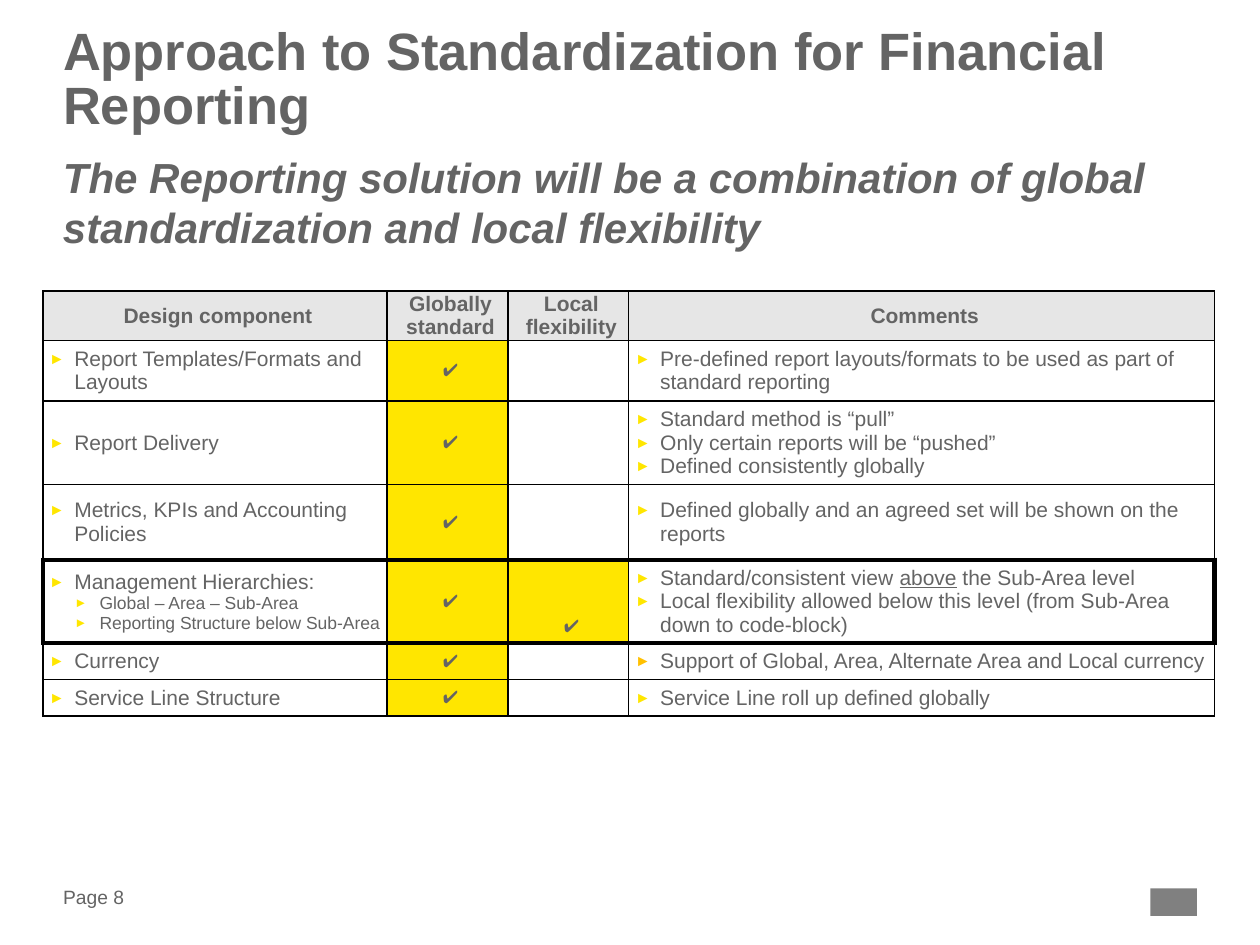
from lxml.etree import SubElement
from pptx import Presentation
from pptx.dml.color import RGBColor
from pptx.enum.shapes import MSO_SHAPE as Shape
from pptx.enum.text import MSO_ANCHOR as Anchor, MSO_AUTO_SIZE as AutoSize, PP_ALIGN as Align
from pptx.oxml.ns import qn
from pptx.util import Inches, Pt

GREY, YELLOW, AMBER, WHITE = "646464", "FFE600", "FFC000", "FFFFFF"
CHECK = "✔"


def color(value):
    return RGBColor.from_string(value)


def add_run(paragraph, text, size, bold=False, italic=False, underline=False):
    run = paragraph.add_run()
    run.text = text
    font = run.font
    font.name, font.size, font.color.rgb = "Arial", Pt(size), color(GREY)
    font.bold, font.italic, font.underline = bold, italic, underline


prs = Presentation()
prs.slide_width, prs.slide_height = Inches(10), Inches(7.5)
slide = prs.slides.add_slide(prs.slide_layouts[5])

# Title, subtitle and page number
title = slide.shapes.title
title.left, title.top, title.width, title.height = (Inches(n) for n in (0.5, 0.22, 9, 0.94))
subtitle = slide.shapes.add_textbox(Inches(0.5), Inches(1.2), Inches(9), Inches(0.58))
page = slide.shapes.add_textbox(Inches(0.5), Inches(7.01), Inches(0.79), Inches(0.22))
for box, text, size, bold, italic, anchor in (
    (title, "Approach to Standardization for Financial Reporting", 30, True, False, Anchor.TOP),
    (subtitle, "The Reporting solution will be a combination of global "
               "standardization and local flexibility", 24, True, True, Anchor.TOP),
    (page, "Page 8", 11, False, False, Anchor.MIDDLE),
):
    frame = box.text_frame
    frame.margin_left = frame.margin_right = frame.margin_top = frame.margin_bottom = 0
    frame.word_wrap, frame.auto_size, frame.vertical_anchor = True, AutoSize.NONE, anchor
    frame.paragraphs[0].alignment = Align.LEFT
    add_run(frame.paragraphs[0], text, size, bold, italic)
title.text_frame.paragraphs[0].line_spacing = 0.85

# Plain block in the bottom right corner
corner = slide.shapes.add_shape(Shape.RECTANGLE, Inches(9.13), Inches(7.05), Inches(0.37), Inches(0.22))
corner.shadow.inherit = False
corner.fill.solid()
corner.fill.fore_color.rgb = color("808080")
corner.line.fill.background()

# Each cell is a list of paragraphs: (level, [(text, underlined), ...])
headers = ["Design component", "Globally standard", "Local flexibility", "Comments"]
components = [
    (["Report Templates/Formats and Layouts"], "",
     ["Pre-defined report layouts/formats to be used as part of standard reporting"]),
    (["Report Delivery"], "",
     ["Standard method is “pull”", "Only certain reports will be “pushed”",
      "Defined consistently globally"]),
    (["Metrics, KPIs and Accounting Policies"], "",
     ["Defined globally and an agreed set will be shown on the reports"]),
    (["Management Hierarchies:", "Global – Area – Sub-Area",
      "Reporting Structure below Sub-Area"], CHECK,
     ["Standard/consistent view _above_ the Sub-Area level",
      "Local flexibility allowed below this level (from Sub-Area down to code-block)"]),
    (["Currency"], "", ["Support of Global, Area, Alternate Area and Local currency"]),
    (["Service Line Structure"], "", ["Service Line roll up defined globally"]),
]
rows = [[[text] for text in headers]]
rows += [[design, [CHECK], [local], comments] for design, local, comments in components]
widths = [2.73, 0.96, 0.96, 4.65]
heights = [0.39, 0.48, 0.66, 0.6, 0.66, 0.29, 0.29]
HIGHLIGHT, CURRENCY = 4, 5

# Table without the built-in style
table = slide.shapes.add_table(len(rows), len(widths), Inches(0.34), Inches(2.31),
                               Inches(sum(widths)), Inches(sum(heights))).table
table.first_row = table.horz_banding = False
for column, width in zip(table.columns, widths):
    column.width = Inches(width)
for row, height in zip(table.rows, heights):
    row.height = Inches(height)

for r, row in enumerate(rows):
    for c, lines in enumerate(row):
        cell = table.cell(r, c)
        header, centred = r == 0, r == 0 or c in (1, 2)
        cell.margin_left, cell.margin_right = Inches(0.05), 0
        cell.margin_top = cell.margin_bottom = Inches(0.01 if header else 0.05)
        cell.vertical_anchor = Anchor.BOTTOM if (r, c) == (HIGHLIGHT, 2) else Anchor.MIDDLE

        # Borders: thick around the highlighted row
        properties = cell._tc.get_or_add_tcPr()
        thick = {
            "lnL": r == HIGHLIGHT and c == 0,
            "lnR": r == HIGHLIGHT and c == len(widths) - 1,
            "lnT": r in (HIGHLIGHT, HIGHLIGHT + 1),
            "lnB": r in (HIGHLIGHT - 1, HIGHLIGHT),
        }
        for side, is_thick in thick.items():
            border = SubElement(properties, qn(f"a:{side}"), w=str(Pt(3 if is_thick else 1)))
            SubElement(SubElement(border, qn("a:solidFill")), qn("a:srgbClr"), val="000000")

        cell.fill.solid()
        checked = not header and lines == [CHECK]
        cell.fill.fore_color.rgb = color("E6E6E6" if header else YELLOW if checked else WHITE)

        # Text
        for i, line in enumerate(lines):
            frame = cell.text_frame
            paragraph = frame.paragraphs[0] if i == 0 else frame.add_paragraph()
            sub_item = c == 0 and i > 0
            if centred:
                paragraph.alignment = Align.CENTER
            else:
                bullet = paragraph._p.get_or_add_pPr()
                indent = Inches(0.2)
                bullet.set("marL", str(indent * (2 if sub_item else 1)))
                bullet.set("indent", str(-indent))
                paragraph.level = 1 if sub_item else 0
                tint = AMBER if (r, c) == (CURRENCY, 3) else YELLOW
                SubElement(SubElement(bullet, qn("a:buClr")), qn("a:srgbClr"), val=tint)
                SubElement(bullet, qn("a:buSzPct"), val="75000")
                SubElement(bullet, qn("a:buFont"), typeface="Arial")
                SubElement(bullet, qn("a:buChar"), char="►")
            size = 10 if sub_item or (centred and not header) else 12
            if not line:
                SubElement(paragraph._p, qn("a:endParaRPr"), sz=str(size * 100))
                continue
            for n, part in enumerate(line.split("_")):
                add_run(paragraph, part, size, bold=header, underline=n % 2 == 1)

prs.save("out.pptx")
